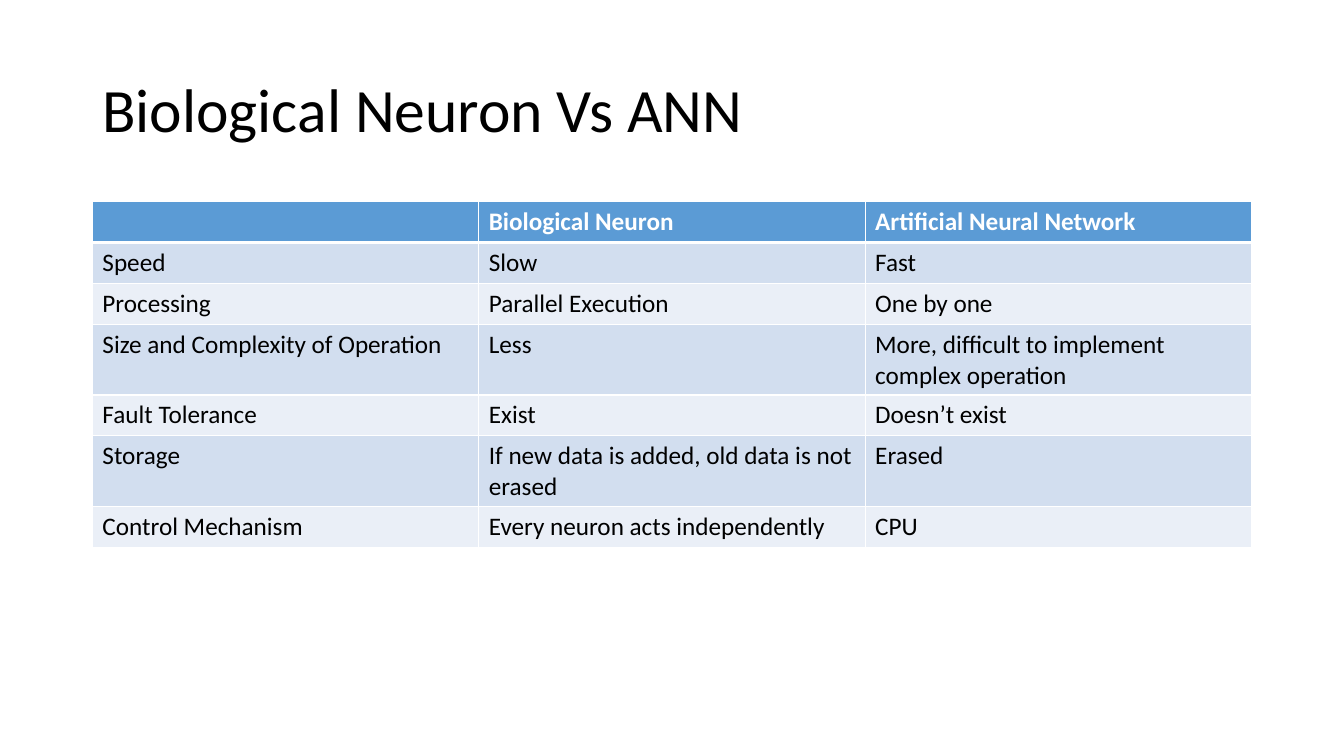
from lxml.etree import SubElement
from pptx import Presentation
from pptx.dml.color import RGBColor
from pptx.enum.text import MSO_ANCHOR as Anchor
from pptx.oxml.ns import qn
from pptx.util import Emu, Pt

SCALE = 9525
COLUMN_WIDTH = 368
ROW_HEIGHT = 39
COMPARISON = [
    ("", "Biological Neuron", "Artificial Neural Network"),
    ("Speed", "Slow", "Fast"),
    ("Processing", "Parallel Execution", "One by one"),
    ("Size and Complexity of Operation", "Less", "More, difficult to implement complex operation"),
    ("Fault Tolerance", "Exist", "Doesn’t exist"),
    ("Storage", "If new data is added, old data is not erased", "Erased"),
    ("Control Mechanism", "Every neuron acts independently", "CPU"),
]


def px(length):
    return Emu(length * SCALE)


def color(value):
    return RGBColor.from_string(value)


class SlideBuilder:
    font = "Calibri"
    ink = "000000"
    white = "FFFFFF"
    header = "5B9BD5"
    bands = ("EAEFF7", "D2DEEF")

    def __init__(self, slide):
        self.slide = slide

    def add_run(self, paragraph, text, size, ink, bold=False):
        run = paragraph.add_run()
        run.text = text
        run.font.name = self.font
        run.font.size = Pt(size)
        run.font.bold = bold
        run.font.color.rgb = color(ink)

    def title(self, text, left, top, width, height):
        shape = self.slide.shapes.add_textbox(px(left), px(top), px(width), px(height))
        frame = shape.text_frame
        frame.word_wrap = True
        frame.vertical_anchor = Anchor.MIDDLE
        paragraph = frame.paragraphs[0]
        paragraph.line_spacing = 0.9
        self.add_run(paragraph, text, 44, self.ink)

    def border(self, cell, side, points):
        properties = cell._tc.get_or_add_tcPr()
        line = SubElement(properties, qn(f"a:ln{side}"), w=str(Pt(points)))
        fill = SubElement(line, qn("a:solidFill"))
        SubElement(fill, qn("a:srgbClr"), val=self.white)

    def table(self, rows, left, top):
        columns = len(rows[0])
        shape = self.slide.shapes.add_table(
            len(rows), columns, px(left), px(top),
            px(columns * COLUMN_WIDTH), px(len(rows) * ROW_HEIGHT))
        table = shape.table
        for column in table.columns:
            column.width = px(COLUMN_WIDTH)
        for row_index, texts in enumerate(rows):
            table.rows[row_index].height = px(ROW_HEIGHT)
            is_header = row_index == 0
            background = self.header if is_header else self.bands[row_index % 2]
            ink = self.white if is_header else self.ink
            for column_index, text in enumerate(texts):
                cell = table.cell(row_index, column_index)
                for side in "LRTB":
                    thick = (row_index, side) in ((0, "B"), (1, "T"))
                    self.border(cell, side, 3 if thick else 1)
                cell.fill.solid()
                cell.fill.fore_color.rgb = color(background)
                if text:
                    self.add_run(cell.text_frame.paragraphs[0], text, 18, ink, is_header)


def main():
    presentation = Presentation()
    presentation.slide_width = px(1280)
    presentation.slide_height = px(720)
    builder = SlideBuilder(presentation.slides.add_slide(presentation.slide_layouts[6]))
    builder.title("Biological Neuron Vs ANN", 88, 38, 1104, 139)
    builder.table(COMPARISON, 88, 192)
    presentation.save("out.pptx")


if __name__ == "__main__":
    main()
